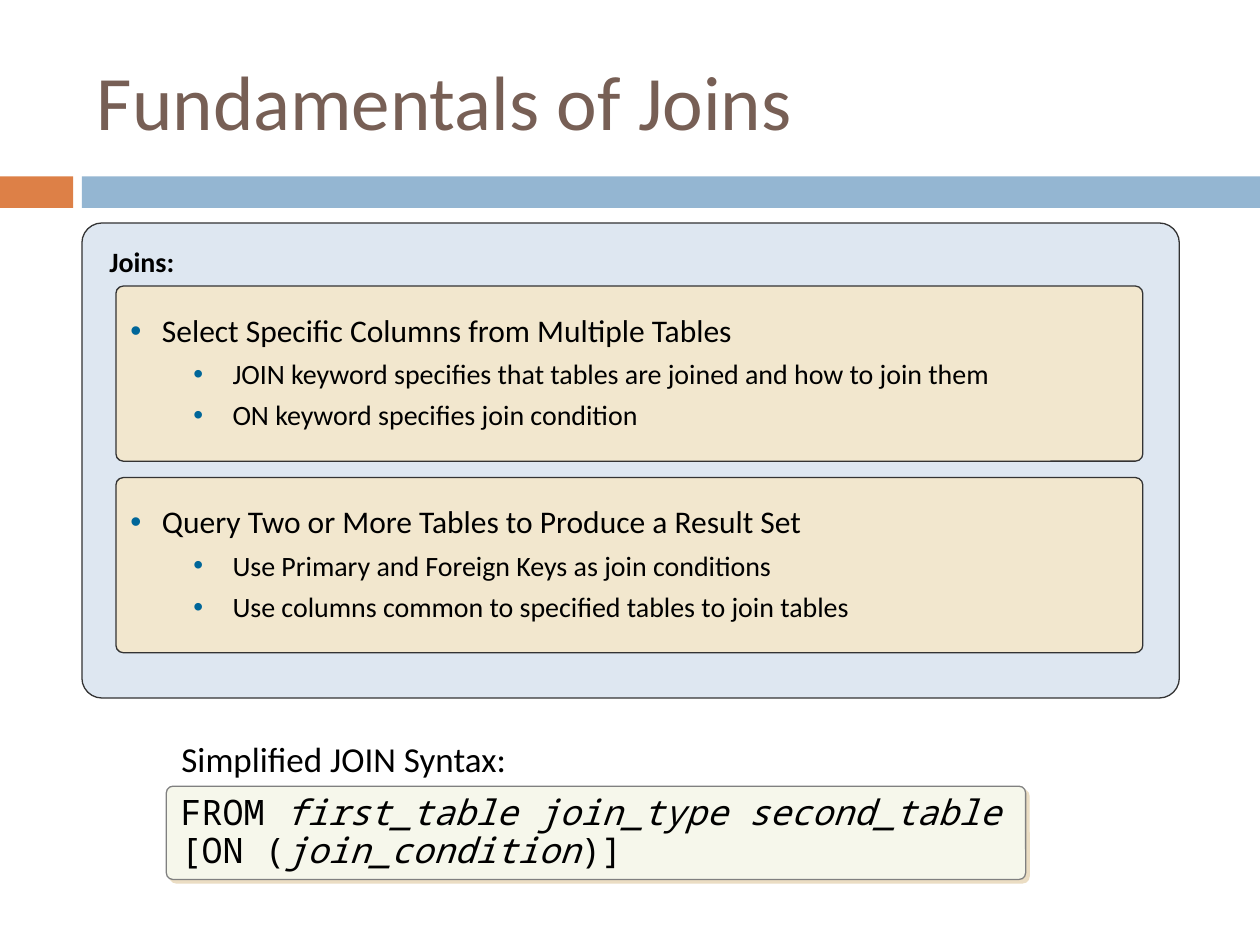
from dataclasses import dataclass
from typing import Optional

from lxml.etree import SubElement
from pptx import Presentation
from pptx.dml.color import RGBColor
from pptx.enum.shapes import MSO_SHAPE
from pptx.enum.text import MSO_ANCHOR, MSO_AUTO_SIZE, PP_ALIGN
from pptx.oxml.ns import qn
from pptx.util import Emu, Inches, Pt


@dataclass(frozen=True)
class Theme:
    accent: str = "DD8047"
    band: str = "94B6D2"
    title: str = "775F55"
    panel: str = "DEE7F1"
    card: str = "F2E7CE"
    code: str = "F6F7EB"
    shadow: str = "EBDDC3"
    border: str = "333333"
    code_border: str = "808080"
    bullet: str = "006699"
    text: str = "000000"
    body_font: str = "Calibri"
    code_font: str = "Noto Sans Mono"
    title_size: int = 44
    syntax_size: int = 20
    point_size: int = 18
    detail_size: int = 16


@dataclass(frozen=True)
class Box:
    col: float
    row: float
    cols: float
    rows: float

    def emu(self) -> list[Emu]:
        return [Emu(round(v * CELL)) for v in (self.col, self.row, self.cols, self.rows)]


@dataclass(frozen=True)
class Card:
    heading: str
    details: tuple[str, ...]


THEME = Theme()
COLS, ROWS = 100, 75
CELL = Inches(10) // COLS
LEFT, CARD_TOP, CARD_PITCH = 6.5, 22.7, 15.2

CARDS = (
    Card("Select Specific Columns from Multiple Tables",
         ("JOIN keyword specifies that tables are joined and how to join them",
          "ON keyword specifies join condition")),
    Card("Query Two or More Tables to Produce a Result Set",
         ("Use Primary and Foreign Keys as join conditions",
          "Use columns common to specified tables to join tables")),
)
SYNTAX = (
    ("FROM ", False),
    ("first_table join_type second_table", True),
    (" [ON (", False),
    ("join_condition", True),
    (")]", False),
)


def rgb(color: str) -> RGBColor:
    return RGBColor.from_string(color)


def add_block(shapes, box: Box, fill: str, line: Optional[str] = None,
              radius: Optional[float] = None):
    kind = MSO_SHAPE.RECTANGLE if radius is None else MSO_SHAPE.ROUNDED_RECTANGLE
    s = shapes.add_shape(kind, *box.emu())
    s.shadow.inherit = False
    if radius is not None:
        s.adjustments[0] = radius
    s.fill.solid()
    s.fill.fore_color.rgb = rgb(fill)
    if line is None:
        s.line.fill.background()
    else:
        s.line.color.rgb = rgb(line)
        s.line.width = Pt(0.75)
    s.text_frame.word_wrap = True
    s.text_frame.vertical_anchor = MSO_ANCHOR.MIDDLE
    return s


def style_run(r, size: int, color: str = THEME.text, font: str = THEME.body_font,
              bold: bool = False, italic: bool = False) -> None:
    r.font.name = font
    r.font.size = Pt(size)
    r.font.color.rgb = rgb(color)
    r.font.bold = bold
    r.font.italic = italic


def add_label(shapes, box: Box, text: str, size: int, color: str = THEME.text,
              bold: bool = False, anchor: MSO_ANCHOR = MSO_ANCHOR.TOP):
    tf = shapes.add_textbox(*box.emu()).text_frame
    tf.word_wrap = True
    tf.vertical_anchor = anchor
    tf.text = text
    style_run(tf.paragraphs[0].runs[0], size, color, bold=bold)
    return tf


def add_bullet(p, indent: float, hanging: float) -> None:
    pPr = p._p.get_or_add_pPr()
    pPr.set("marL", str(Inches(indent)))
    pPr.set("indent", str(-Inches(hanging)))
    SubElement(SubElement(pPr, qn("a:buClr")), qn("a:srgbClr"), val=THEME.bullet)
    SubElement(pPr, qn("a:buFont"), typeface="Arial")
    SubElement(pPr, qn("a:buChar"), char="•")


def add_card(shapes, box: Box, card: Card) -> None:
    tf = add_block(shapes, box, THEME.card, THEME.border, 0.042).text_frame
    tf.text = "\n".join((card.heading, *card.details))
    for i, p in enumerate(tf.paragraphs):
        size = THEME.detail_size if i else THEME.point_size
        add_bullet(p, *((0.81, 0.31) if i else (0.25, 0.25)))
        p.level = 1 if i else 0
        p.alignment = PP_ALIGN.LEFT
        p.line_spacing = 0.9
        if i:
            p.space_before = Pt(0.4 * size)
        style_run(p.runs[0], size)


def add_offset_shadow(s) -> None:
    effects = s._element.spPr.find(qn("a:effectLst"))
    shadow = SubElement(effects, qn("a:outerShdw"), blurRad="0", dist=str(Pt(2.8)),
                        dir=str(45 * 60000), algn="ctr", rotWithShape="0")
    SubElement(shadow, qn("a:srgbClr"), val=THEME.shadow)


def add_syntax(shapes, box: Box) -> None:
    s = add_block(shapes, box, THEME.code, THEME.code_border, 0.071)
    add_offset_shadow(s)
    s.text_frame.auto_size = MSO_AUTO_SIZE.SHAPE_TO_FIT_TEXT
    p = s.text_frame.paragraphs[0]
    p.alignment = PP_ALIGN.LEFT
    p.line_spacing = 0.9
    for text, italic in SYNTAX:
        r = p.add_run()
        r.text = text
        style_run(r, THEME.syntax_size, font=THEME.code_font, italic=italic)


def main() -> None:
    prs = Presentation()
    prs.slide_width, prs.slide_height = COLS * CELL, ROWS * CELL
    shapes = prs.slides.add_slide(prs.slide_layouts[6]).shapes

    add_block(shapes, Box(0, 14, 5.8, 2.5), THEME.accent)
    add_block(shapes, Box(LEFT, 14, COLS - LEFT, 2.5), THEME.band)
    add_label(shapes, Box(6.7, 2.5, 89.2, 10.8), "Fundamentals of Joins",
              THEME.title_size, THEME.title, anchor=MSO_ANCHOR.MIDDLE)

    add_block(shapes, Box(LEFT, 17.7, 87.1, 37.7), THEME.panel, THEME.border, 0.042)
    add_label(shapes, Box(7.7, 18.9, 50.4, 3.4), "Joins:", THEME.detail_size, bold=True)
    for i, card in enumerate(CARDS):
        add_card(shapes, Box(9.2, CARD_TOP + i * CARD_PITCH, 81.5, 13.9), card)

    tf = add_label(shapes, Box(14.4, 58.9, 50.4, 3.4), "Simplified JOIN Syntax:",
                   THEME.syntax_size)
    tf.margin_left = tf.margin_top = tf.margin_right = tf.margin_bottom = 0
    tf.paragraphs[0].line_spacing = 0.9
    add_syntax(shapes, Box(13.2, 62.4, 68.2, 7.4))

    prs.save("out.pptx")


if __name__ == "__main__":
    main()
